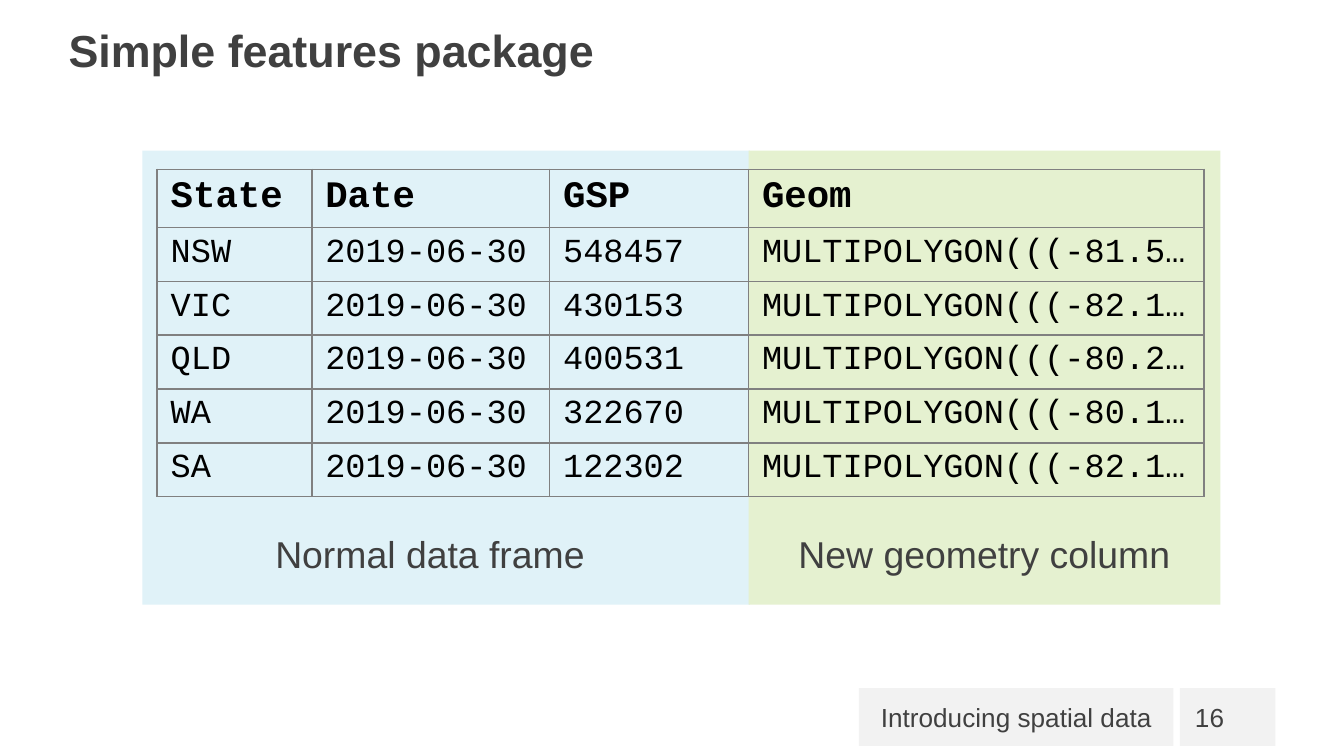
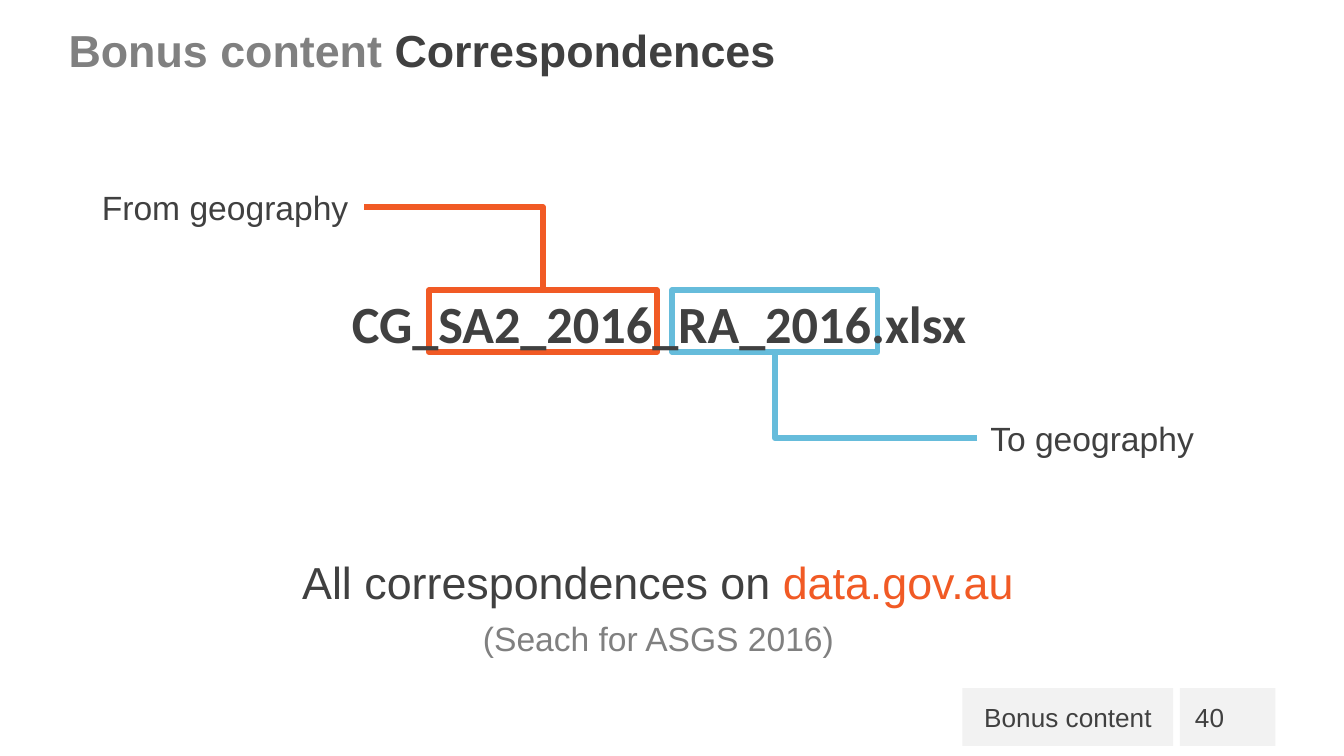
from lxml import etree
from pptx import Presentation
from pptx.dml.color import RGBColor
from pptx.enum.shapes import MSO_CONNECTOR, MSO_SHAPE
from pptx.enum.text import MSO_ANCHOR, MSO_AUTO_SIZE, PP_ALIGN
from pptx.oxml.ns import qn
from pptx.util import Inches, Pt

LEFT, CENTER, RIGHT = PP_ALIGN.LEFT, PP_ALIGN.CENTER, PP_ALIGN.RIGHT
TOP, MIDDLE = MSO_ANCHOR.TOP, MSO_ANCHOR.MIDDLE
GROW, FIXED = MSO_AUTO_SIZE.SHAPE_TO_FIT_TEXT, MSO_AUTO_SIZE.NONE
RECT = MSO_SHAPE.RECTANGLE
SITE_TOP, SITE_LEFT, SITE_BOTTOM, SITE_RIGHT = range(4)

W = 10
H = W * 9 / 16
DARK, GREY, BLACK, BAND = "404040", "808080", "000000", "F2F2F2"
ORANGE, BLUE, PALE_BLUE, PALE_GREEN = "F15A25", "66BCDB", "E0F2F8", "E5F1D0"
SANS, MONO, FILE_FONT = "Arial", "Courier New", "Calibri"

# Footer band: section label ends at LABEL_RIGHT, page number starts at PAGE_LEFT
BAND_TOP, BAND_H = 5.12, 0.43
LABEL_RIGHT, PAGE_LEFT = 8.73, 8.78

# Slide 1
HEADER = ["State", "Date", "GSP", "Geom"]
STATES = [("NSW", 548457, "-81.5"), ("VIC", 430153, "-82.1"),
          ("QLD", 400531, "-80.2"), ("WA", 322670, "-80.1"),
          ("SA", 122302, "-82.1")]
ROWS = [HEADER] + [[state, "2019-06-30", str(gsp), f"MULTIPOLYGON((({x}…"]
                   for state, gsp, x in STATES]
COLS = [1.15, 1.77, 1.48, 3.39]
HEAD_H, ROW_H = 0.41, 0.38
PANEL_TOP, PANEL_H = 1.12, 3.38
PANELS = [  # left, width, fill, caption, caption left, caption width
    (1.06, 4.52, PALE_BLUE, "Normal data frame", 1.94, 2.52),
    (5.57, 3.51, PALE_GREEN, "New geometry column", 5.83, 2.99),
]

# Slide 2
FILE_NAME = "CG_SA2_2016_RA_2016.xlsx"
PART_TOP, PART_H = 2.16, 0.46
PARTS = [  # box left, width, colour, label, label at, label site, box site
    (3.19, 1.7, ORANGE, "From geography", (0.66, 1.34, 2.05, 0.4),
     SITE_RIGHT, SITE_TOP),
    (5, 1.53, BLUE, "To geography", (7.27, 3.06, 1.73, 0.4),
     SITE_LEFT, SITE_BOTTOM),
]


def rgb(color):
    return RGBColor.from_string(color)


def write(tf, runs, size=18, color=DARK, font=SANS, bold=False, align=LEFT,
          anchor=TOP, fit=GROW):
    """Fill a text frame; runs is a string or a list of (text, colour)."""
    tf.word_wrap = False
    tf.auto_size = fit
    tf.vertical_anchor = anchor
    fill_paragraph(tf.paragraphs[0], runs, size, color, font, bold, align)


def fill_paragraph(p, runs, size, color, font, bold=False, align=LEFT):
    p.alignment = align
    p.space_before = Pt(0)
    for text, run_color in [(runs, color)] if isinstance(runs, str) else runs:
        r = p.add_run()
        r.text = text
        r.font.name, r.font.size, r.font.bold = font, Pt(size), bold
        r.font.color.rgb = rgb(run_color)
    end = etree.SubElement(p._p, qn("a:endParaRPr"), sz=str(size * 100))
    etree.SubElement(end, qn("a:latin"), typeface=font)


def place(sp, left, top, width, height):
    sp.left, sp.top = Inches(left), Inches(top)
    sp.width, sp.height = Inches(width), Inches(height)


def add_text(s, at, runs, **fmt):
    sp = s.shapes.add_textbox(*map(Inches, at))
    write(sp.text_frame, runs, **fmt)
    return sp


def add_rect(s, at, fill=None, line=None):
    sp = s.shapes.add_shape(RECT, *map(Inches, at))
    sp.shadow.inherit = False
    if fill:
        sp.fill.solid()
        sp.fill.fore_color.rgb = rgb(fill)
    else:
        sp.fill.background()
    if line:
        sp.line.color.rgb, sp.line.width = rgb(line), Pt(3)
    else:
        sp.line.fill.background()
    return sp


def add_elbow(s, start, start_site, end, end_site, color):
    """Join two shapes with a one-bend line that leaves start sideways."""
    line = s.shapes.add_connector(MSO_CONNECTOR.ELBOW, 0, 0, 0, 0)
    line.begin_connect(start, start_site)
    line.end_connect(end, end_site)
    line.line.color.rgb, line.line.width = rgb(color), Pt(3)
    spPr = line._element.spPr
    spPr.find(qn("a:prstGeom")).set("prst", "bentConnector2")
    etree.SubElement(spPr, qn("a:effectLst"))


def add_slide(prs, title, title_w, section, section_w, page):
    s = prs.slides.add_slide(prs.slide_layouts[1])
    place(s.shapes.title, 0.41, 0.12, title_w, 0.5)
    write(s.shapes.title.text_frame, title, size=24, bold=True)

    label = s.placeholders[1]
    place(label, LABEL_RIGHT - section_w, BAND_TOP, section_w, BAND_H)
    label.fill.solid()
    label.fill.fore_color.rgb = rgb(BAND)
    tf = label.text_frame
    tf.margin_left = tf.margin_right = Inches(0.16)
    tf.margin_top = tf.margin_bottom = Inches(0.1)
    pPr = tf.paragraphs[0]._p.get_or_add_pPr()
    pPr.set("marL", "0")
    pPr.set("indent", "0")
    etree.SubElement(pPr, qn("a:buNone"))
    write(tf, section, size=14, align=RIGHT, anchor=MIDDLE, fit=FIXED)

    add_rect(s, (PAGE_LEFT, BAND_TOP, 0.71, BAND_H), BAND)
    number = add_rect(s, (PAGE_LEFT, BAND_TOP, 0.44, BAND_H), BAND)
    tf = number.text_frame
    tf.margin_top = tf.margin_bottom = Inches(0.1)
    write(tf, str(page), size=14, align=CENTER, anchor=MIDDLE)
    return s


def style_cell(cell):
    """Clear the fill and draw a thin grey border on every side."""
    tcPr = cell._tc.get_or_add_tcPr()
    for side in ("lnL", "lnR", "lnT", "lnB"):
        ln = etree.SubElement(tcPr, qn(f"a:{side}"), w=str(Pt(1)))
        fill = etree.SubElement(ln, qn("a:solidFill"))
        etree.SubElement(fill, qn("a:srgbClr"), val=GREY)
    cell.fill.background()


def add_state_table(s):
    height = HEAD_H + ROW_H * len(STATES)
    table = s.shapes.add_table(len(ROWS), len(COLS), Inches(1.17), Inches(1.26),
                               Inches(sum(COLS)), Inches(height)).table
    table.horz_banding = False
    for col, width in zip(table.columns, COLS):
        col.width = Inches(width)
    for i, row in enumerate(ROWS):
        head = i == 0
        table.rows[i].height = Inches(HEAD_H if head else ROW_H)
        for j, text in enumerate(row):
            cell = table.cell(i, j)
            style_cell(cell)
            fill_paragraph(cell.text_frame.paragraphs[0], text,
                           20 if head else 18, BLACK, MONO, bold=head)


def build_features(prs):
    s = add_slide(prs, "Simple features package", 4.15,
                  "Introducing spatial data", 2.34, 16)
    for left, width, fill, caption, cap_left, cap_w in PANELS:
        add_rect(s, (left, PANEL_TOP, width, PANEL_H), fill)
        add_text(s, (cap_left, 3.9, cap_w, 0.44), caption, size=20, align=CENTER)
    add_state_table(s)


def build_correspondences(prs):
    s = add_slide(prs, [("Bonus content ", GREY), ("Correspondences", DARK)],
                  5.51, "Bonus content", 1.57, 40)
    for left, width, color, text, at, label_site, box_site in PARTS:
        box = add_rect(s, (left, PART_TOP, width, PART_H), line=color)
        label = add_text(s, at, text)
        add_elbow(s, label, label_site, box, box_site, color)
    add_text(s, (2.52, 2.12, 4.84, 0.57), FILE_NAME, size=28, font=FILE_FONT,
             bold=True)
    add_text(s, (2.12, 4.08, 5.55, 0.5),
             [("All correspondences on ", DARK), ("data.gov.au", ORANGE)],
             size=24, align=CENTER)
    add_text(s, (3.48, 4.55, 2.84, 0.4), "(Seach for ASGS 2016)", color=GREY,
             align=CENTER)


def main():
    prs = Presentation()
    prs.slide_width, prs.slide_height = Inches(W), Inches(H)
    build_features(prs)
    build_correspondences(prs)
    prs.save("out.pptx")


if __name__ == "__main__":
    main()
